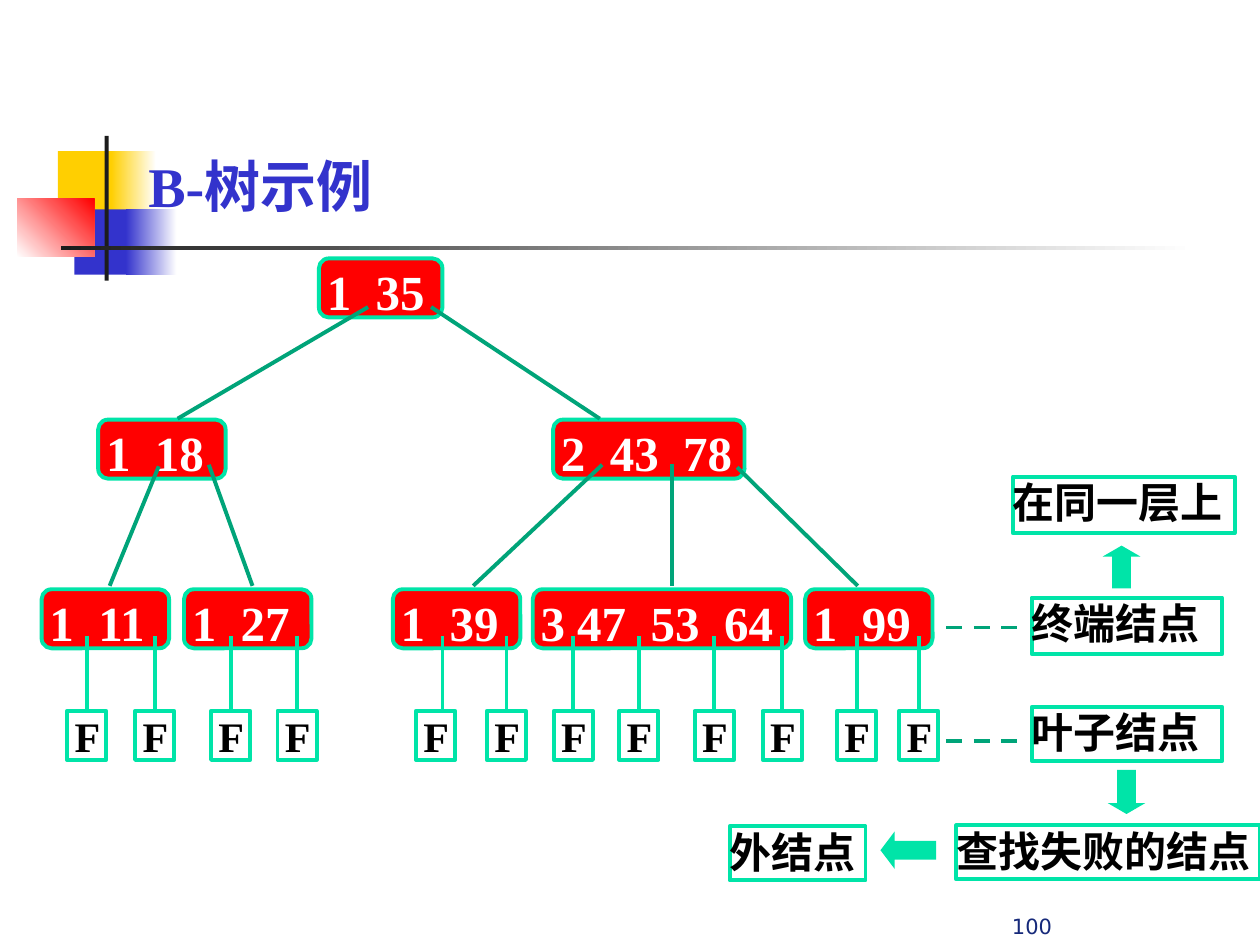
from lxml import etree
from pptx import Presentation
from pptx.dml.color import RGBColor
from pptx.enum.dml import MSO_LINE_DASH_STYLE as Dash
from pptx.enum.shapes import MSO_CONNECTOR as Connector, MSO_SHAPE as Shape
from pptx.enum.text import MSO_ANCHOR as Anchor, PP_ALIGN as Align
from pptx.oxml.ns import qn
from pptx.util import Cm, Pt

COLORS = {
    "yellow": "FFCF01", "blue": "3333CC", "red": "FF0000", "dark": "1C1C1C",
    "white": "FFFFFF", "black": "000000", "mint": "00E4A8", "green": "00A479",
    "navy": "16297A",
}
SERIF = "Times New Roman"
LINE_WIDTH = Pt(2.25)

# Master decoration: left, top, width, height, colour stops, angle
DECORATION = [
    (1.17, 3.05, 1.22, 1.32, ["yellow"], 0),
    (2.24, 3.05, 0.91, 1.32, ["yellow", "white"], 0),
    (1.5, 4.22, 1.17, 1.32, ["blue"], 0),
    (2.54, 4.22, 1.02, 1.32, ["blue", "white"], 0),
    (0.35, 4.01, 1.55, 1.17, ["white", "red"], 45),
    (2.11, 2.74, 0.08, 2.92, ["dark"], 0),
    (1.23, 4.95, 22.86, 0.09, ["dark", "white"], 0),
]

# Tree nodes: text, left, top, width
LEVEL_TOPS = [5.21, 8.46, 11.88]
NODES = [
    ("1  35", 6.43, LEVEL_TOPS[0], 2.49),
    ("1  18", 1.98, LEVEL_TOPS[1], 2.57),
    ("2  43  78", 11.15, LEVEL_TOPS[1], 3.86),
    ("1  11", 0.84, LEVEL_TOPS[2], 2.57),
    ("1  27", 3.71, LEVEL_TOPS[2], 2.57),
    ("1  39", 7.92, LEVEL_TOPS[2], 2.57),
    ("3 47  53  64", 10.74, LEVEL_TOPS[2], 5.21),
    ("1  99", 16.23, LEVEL_TOPS[2], 2.57),
]

# Parent to child: x1, y1, x2, y2
EDGES = [
    (7.42, 6.19, 3.58, 8.44), (8.69, 6.19, 12.09, 8.44),
    (3.2, 9.4, 2.21, 11.81), (4.21, 9.37, 5.09, 11.81),
    (12.14, 9.37, 9.54, 11.81), (13.54, 9.35, 13.54, 11.81),
    (14.86, 9.42, 17.29, 11.81),
]

# Failure leaves: stem x and box centre x
LEAVES = [
    (1.75, 1.75), (3.12, 3.12), (4.65, 4.65), (5.99, 5.99),
    (8.92, 8.78), (10.21, 10.21), (11.56, 11.56), (12.88, 12.88),
    (14.4, 14.4), (15.77, 15.77), (17.27, 17.27), (18.52, 18.52),
]

# Legend: text, left, top, width, height
LABELS = [
    ("在同一层上", 20.42, 9.61, 4.47, 1.14),
    ("终端结点", 20.8, 12.05, 3.84, 1.14),
    ("叶子结点", 20.8, 14.25, 3.84, 1.09),
    ("查找失败的结点", 19.28, 16.64, 6.12, 1.09),
    ("外结点", 14.71, 16.66, 2.74, 1.09),
]
ARROWS = [
    (Shape.UP_ARROW, 22.23, 11, 0.76, 0.86, 0.29),
    (Shape.DOWN_ARROW, 22.33, 15.52, 0.76, 0.89, 0.29),
    (Shape.LEFT_ARROW, 17.75, 16.76, 1.12, 0.76, 0.38),
]


def color(name):
    return RGBColor.from_string(COLORS[name])


def add_shape(slide, kind, box, fill=None, line=None):
    shape = slide.shapes.add_shape(kind, *map(Cm, box))
    shape.shadow.inherit = False
    if fill:
        shape.fill.solid()
        shape.fill.fore_color.rgb = color(fill)
    else:
        shape.fill.background()
    if line:
        shape.line.color.rgb = color(line)
        shape.line.width = LINE_WIDTH
    else:
        shape.line.fill.background()
    return shape


def set_text(shape, text, size, ink, font=SERIF, bold=True, align=Align.JUSTIFY,
             anchor=Anchor.TOP, insets=None):
    frame = shape.text_frame
    frame.word_wrap = True
    frame.vertical_anchor = anchor
    if insets is not None:
        (frame.margin_left, frame.margin_top,
         frame.margin_right, frame.margin_bottom) = map(Cm, insets)
    paragraph = frame.paragraphs[0]
    paragraph.text = text
    paragraph.alignment = align
    paragraph.font.name = font
    paragraph.font.size = Pt(size)
    paragraph.font.bold = bold
    paragraph.font.color.rgb = color(ink)


def add_line(slide, points, ink, dashed=False):
    line = slide.shapes.add_connector(Connector.STRAIGHT, *map(Cm, points))
    line.line.color.rgb = color(ink)
    line.line.width = LINE_WIDTH
    if dashed:
        line.line.dash_style = Dash.DASH
    etree.SubElement(line._element.spPr, qn("a:effectLst"))


def add_decoration(slide, left, top, width, height, stops, angle):
    shape = add_shape(slide, Shape.RECTANGLE, (left, top, width, height), stops[0])
    if len(stops) > 1:
        shape.fill.gradient()
        shape.fill.gradient_angle = angle
        for stop, name in zip(shape.fill.gradient_stops, stops):
            stop.color.rgb = color(name)


def add_node(slide, text, left, top, width):
    shape = add_shape(slide, Shape.ROUNDED_RECTANGLE, (left, top, width, 1.19),
                      "red", "mint")
    set_text(shape, text, 28, "white", insets=(0.1, 0, 0.05, 0))


def add_leaf(slide, stem, centre):
    width = 0.79
    add_line(slide, (stem, 12.83, stem, 14.33), "mint")
    shape = add_shape(slide, Shape.RECTANGLE,
                      (centre - width / 2, 14.33, width, 0.99), line="mint")
    set_text(shape, "F", 24, "black", insets=(0.15, 0, 0, 0))


def add_label(slide, text, *box):
    shape = add_shape(slide, Shape.RECTANGLE, box, line="mint")
    set_text(shape, text, 24, "black", insets=(0, 0, 0, 0))


def main():
    presentation = Presentation()
    presentation.slide_width, presentation.slide_height = Cm(25.4), Cm(19.05)
    slide = presentation.slides.add_slide(presentation.slide_layouts[6])

    # Decoration and title
    for item in DECORATION:
        add_decoration(slide, *item)
    title = slide.shapes.add_textbox(Cm(2.74), Cm(2.92), Cm(8.89), Cm(1.6))
    set_text(title, "B-树示例", 32, "blue", align=Align.LEFT)

    # Tree
    for node in NODES:
        add_node(slide, *node)
    for edge in EDGES:
        add_line(slide, edge, "green")
    for leaf in LEAVES:
        add_leaf(slide, *leaf)

    # Legend
    for label in LABELS:
        add_label(slide, *label)
    for y in (12.65, 14.94):
        add_line(slide, (19.08, y, 20.7, y), "green", dashed=True)
    for kind, *box, head in ARROWS:
        arrow = add_shape(slide, kind, box, "mint")
        arrow.adjustments[1] = head

    # Page number
    number = slide.shapes.add_textbox(Cm(16.21), Cm(18.44), Cm(9.19), Cm(0.61))
    set_text(number, "100", 12, "navy", font="DejaVu Sans", bold=False,
             align=Align.CENTER, anchor=Anchor.BOTTOM)

    presentation.save("out.pptx")


if __name__ == "__main__":
    main()
